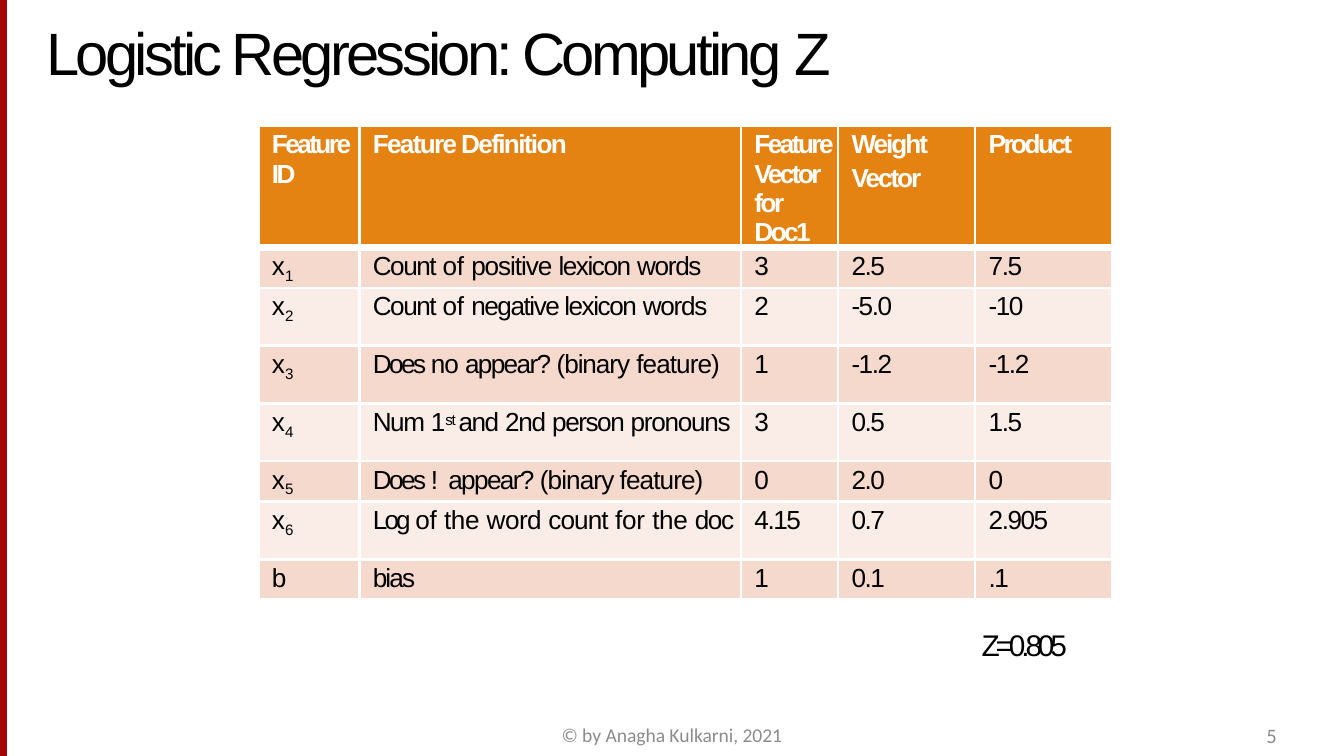
from lxml import etree
from pptx import Presentation
from pptx.dml.color import RGBColor
from pptx.enum.shapes import MSO_CONNECTOR, MSO_SHAPE
from pptx.enum.text import MSO_ANCHOR, MSO_AUTO_SIZE, PP_ALIGN
from pptx.oxml.ns import qn
from pptx.util import Pt

LEFT, CENTER, RIGHT = PP_ALIGN.LEFT, PP_ALIGN.CENTER, PP_ALIGN.RIGHT
TOP, BOTTOM = MSO_ANCHOR.TOP, MSO_ANCHOR.BOTTOM

THEME = {
    "white": "FFFFFF", "black": "000000", "grey": "8C8C8C",
    "bar": "A40508", "bar_edge": "A4001D",
    "header": "E48312", "bands": ("F5D9CC", "FAEDE7"),
    "body_font": "Arial", "footer_font": "Calibri",
    "title": 32, "table": 14, "result": 16, "footer": 10.5, "number": 11,
    "rule": 1.5, "header_rule": 4.25,
}
SLIDE_W, SLIDE_H = 720, 405

# A run is (text, letter spacing in points, optional baseline shift in percent).
TITLE = [("Logistic Regression: Computing ", -2), ("Z", -5.3)]
RESULT = [("Z=0.805", -2.2)]
FOOTER = [("© by Anagha Kulkarni, 2021", 0)]
NUMBER = [("5", 0)]

# Each header cell is a list of paragraphs.
HEADERS = [
    [[("Feature ID", -1.4)]],
    [[("Feature Definition", -0.9)]],
    [[("Feature Vector for Doc1", -1.4)]],
    [[("Weight", -1.1)], [("Vector", -1.1)]],
    [[("Product", -1.4)]],
]
# (feature, definition runs, value, weight, product, row height)
FEATURES = [
    ("x1", [("Count ", -0.8), ("of ", -0.1), ("positive ", -0.6), ("lexicon ", -0.8),
            ("words", -0.7)], "3", "2.5", "7.5", 21.6),
    ("x2", [("Count ", -0.8), ("of ", -0.1), ("negative lexicon ", -0.8),
            ("words", -0.7)], "2", "-5.0", "-10", 31),
    ("x3", [("Does ", -1.4), ("no ", -0.6), ("appear? ", -0.9), ("(binary ", -0.6),
            ("feature)", -0.5)], "1", "-1.2", "-1.2", 31),
    ("x4", [("Num ", -0.8), ("1", -0.6), ("st ", -0.8, 25), ("and ", -0.8), ("2nd ", -0.7),
            ("person ", -0.8), ("pronouns", -0.7)], "3", "0.5", "1.5", 31),
    ("x5", [("Does ", -1.4), ("! ", 0.8), ("appear? ", -0.9),
            ("(binary feature)", -0.5)], "0", "2.0", "0", 21.6),
    ("x6", [("Log ", -1.5), ("of ", -0.1), ("the ", -0.2), ("word ", -0.3), ("count ", -0.5),
            ("for ", -0.1), ("the ", -0.2), ("doc", -0.8)], "4.15", "0.7", "2.905", 31),
    ("b", [("bias", -1)], "1", "0.1", ".1", 21.6),
]
TABLE_X, TABLE_Y = 138.5, 67.2
COLUMNS = [54, 204.5, 52, 73.5, 73.5]
HEADER_H = 21.6


def rgb(name):
    return RGBColor.from_string(THEME.get(name, name))


def write(tf, paragraphs, size, color="black", font="body_font", bold=False,
          align=LEFT, indent=0, before=0):
    for i, runs in enumerate(paragraphs):
        p = tf.add_paragraph() if i else tf.paragraphs[0]
        p.alignment = align
        p._p.get_or_add_pPr().set("marL", str(Pt(indent)))
        if i:
            p.space_before = Pt(before)
        for text, spacing, *shift in runs:
            r = p.add_run()
            r.text = text
            formats = {"size": Pt(THEME[size]), "name": THEME[font], "bold": bold}
            for key, value in formats.items():
                setattr(r.font, key, value)
            r.font.color.rgb = rgb(color)
            rPr = r._r.get_or_add_rPr()
            rPr.set("spc", str(round(spacing * 100)))
            if shift:
                rPr.set("baseline", str(shift[0] * 1000))


def add_text(s, box, runs, size, anchor=TOP, top=0, **style):
    tf = s.shapes.add_textbox(*map(Pt, box)).text_frame
    formats = {"margin_left": 0, "margin_right": 0, "margin_top": Pt(top), "margin_bottom": 0,
               "word_wrap": True, "vertical_anchor": anchor,
               "auto_size": MSO_AUTO_SIZE.SHAPE_TO_FIT_TEXT}
    for key, value in formats.items():
        setattr(tf, key, value)
    write(tf, [runs], size, **style)


def add_borders(cell, widths):
    """Draw white cell borders; widths maps L, R, T and B to points."""
    tcPr = cell._tc.get_or_add_tcPr()
    for side, width in widths.items():
        ln = etree.SubElement(tcPr, qn(f"a:ln{side}"), w=str(Pt(width)))
        fill = etree.SubElement(ln, qn("a:solidFill"))
        etree.SubElement(fill, qn("a:srgbClr"), val=THEME["white"])


def feature_runs(name):
    if len(name) == 1:
        return [(name, 0)]
    return [(name[0], -0.9), (name[1:], -1.4, -21)]


def number_runs(text):
    return [(text, 0 if len(text) == 1 else -0.8)]


def add_side_bar(s):
    edge = s.shapes.add_shape(MSO_SHAPE.RECTANGLE, 0, 0, Pt(3.6), Pt(SLIDE_H))
    edge.shadow.inherit = False
    edge.fill.background()
    edge.line.color.rgb = rgb("bar_edge")
    edge.line.width = Pt(0.75)
    bar = s.shapes.add_connector(MSO_CONNECTOR.STRAIGHT, Pt(1.8), 0, Pt(1.8), Pt(SLIDE_H))
    bar.line.color.rgb = rgb("bar")
    bar.line.width = Pt(3.6)
    etree.SubElement(bar._element.spPr, qn("a:effectLst"))


def add_feature_table(s):
    rows = [HEADERS]
    for name, definition, *numbers, _ in FEATURES:
        cells = [feature_runs(name), definition] + [number_runs(n) for n in numbers]
        rows.append([[runs] for runs in cells])
    heights = [HEADER_H] + [feature[-1] for feature in FEATURES]
    table = s.shapes.add_table(len(rows), len(COLUMNS), Pt(TABLE_X), Pt(TABLE_Y),
                               Pt(sum(COLUMNS)), Pt(sum(heights))).table
    table.horz_banding = False
    for column, width in zip(table.columns, COLUMNS):
        column.width = Pt(width)
    for i, (row, height) in enumerate(zip(rows, heights)):
        table.rows[i].height = Pt(height)
        is_header = i == 0
        borders = dict.fromkeys("LRTB", THEME["rule"])
        if i < 2:
            borders["B" if is_header else "T"] = THEME["header_rule"]
        for j, paragraphs in enumerate(row):
            cell = table.cell(i, j)
            cell.margin_left = cell.margin_right = cell.margin_bottom = 0
            cell.margin_top = Pt(2.4)
            add_borders(cell, borders)
            cell.fill.solid()
            cell.fill.fore_color.rgb = rgb("header" if is_header else THEME["bands"][(i - 1) % 2])
            write(cell.text_frame, paragraphs, "table", "white" if is_header else "black",
                  bold=is_header, indent=7.2, before=2.6)


def main():
    prs = Presentation()
    prs.slide_width, prs.slide_height = Pt(SLIDE_W), Pt(SLIDE_H)
    s = prs.slides.add_slide(prs.slide_layouts[6])
    add_side_bar(s)
    add_feature_table(s)
    add_text(s, (24, 7.2, 501, 39.6), TITLE, "title", BOTTOM, top=0.9, indent=0.9)
    add_text(s, (525, 334.8, 111, 20), RESULT, "result", top=0.9, indent=0.9)
    footer = {"color": "grey", "font": "footer_font"}
    add_text(s, (245, 387.4, 230, 13), FOOTER, "footer", align=CENTER, **footer)
    add_text(s, (518.4, 387.4, 165.6, 13.5), NUMBER, "number", align=RIGHT, **footer)
    prs.save("out.pptx")


if __name__ == "__main__":
    main()
